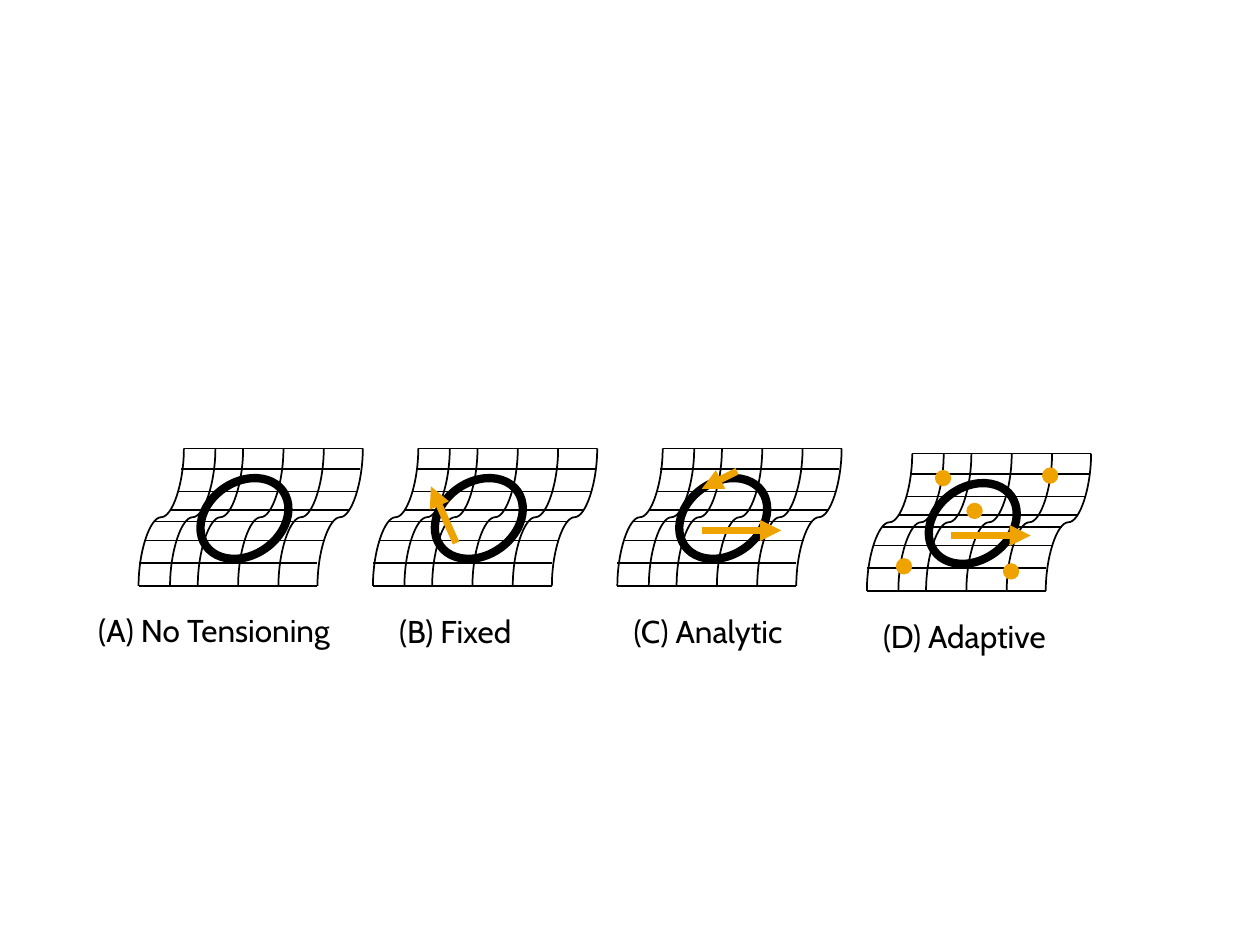
from dataclasses import dataclass
from typing import Any

from lxml.etree import SubElement
from pptx import Presentation
from pptx.dml.color import RGBColor as Rgb
from pptx.enum.shapes import MSO_CONNECTOR as Link, MSO_SHAPE as Kind
from pptx.enum.text import MSO_AUTO_SIZE as Fit
from pptx.oxml.ns import qn
from pptx.util import Inches, Pt

HUE = {"ink": "000000", "gold": "EEA300"}
WIDE, HIGH, LEAN = 1.42, 1.09, 0.36
ROWS = [(0.36, 0), (0, 1.09), (0, 0.91), (0.06, 0.73),
        (0.13, 0.58), (0.25, 0.49), (0.31, 0.34), (0.34, 0.16)]
COLS = [0, 1.42, 1.11, 0.79, 0.47, 0.25]
DOT = 0.13


@dataclass
class Label:
    text: str
    left: float
    top: float
    width: float


@dataclass
class Panel:
    left: float
    top: float
    label: Label
    arrows: tuple[tuple[float, float, float, float], ...] = ()
    dots: tuple[tuple[float, float], ...] = ()


PANELS = [
    Panel(1.1, 3.56, Label("(A) No Tensioning", 0.68, 4.8, 2.05)),
    Panel(2.96, 3.56, Label("(B) Fixed", 3.07, 4.81, 1.12),
          arrows=((3.62, 4.31, 3.42, 3.86),)),
    Panel(4.9, 3.56, Label("(C) Analytic", 4.93, 4.81, 1.4),
          arrows=((5.57, 4.21, 6.2, 4.21), (5.85, 3.74, 5.57, 3.88))),
    Panel(6.88, 3.6, Label("(D) Adaptive", 6.91, 4.85, 1.49),
          arrows=((7.55, 4.25, 8.18, 4.25),),
          dots=((8.27, 3.71), (7.96, 4.47), (7.11, 4.43),
                (7.42, 3.73), (7.67, 3.99))),
]


def color(name: str) -> Rgb:
    return Rgb.from_string(HUE[name])


def add_line(shapes: Any, x1: float, y1: float, x2: float, y2: float,
             hue: str = "ink", size: float = 1, kind: Any = Link.STRAIGHT) -> Any:
    line = shapes.add_connector(kind, Inches(x1), Inches(y1), Inches(x2), Inches(y2))
    line.line.color.rgb = color(hue)
    line.line.width = Pt(size)
    SubElement(line._element.spPr, qn("a:effectLst"))
    return line


def add_curve(shapes: Any, left: float, top: float) -> None:
    mid_x, mid_y = left + LEAN / 2, top + HIGH / 2
    line = add_line(shapes, mid_x + HIGH / 2, mid_y + LEAN / 2,
                    mid_x - HIGH / 2, mid_y - LEAN / 2, kind=Link.CURVE)
    line._element.spPr.find(qn("a:xfrm")).set("rot", "5400000")


def add_arrow(shapes: Any, ends: tuple[float, float, float, float]) -> None:
    line = add_line(shapes, *ends, hue="gold", size=4)
    SubElement(line.line._get_or_add_ln(), qn("a:tailEnd"), type="triangle")


def add_oval(shapes: Any, left: float, top: float, width: float, height: float) -> Any:
    oval = shapes.add_shape(Kind.OVAL, Inches(left), Inches(top),
                            Inches(width), Inches(height))
    oval.shadow.inherit = False
    return oval


def add_ring(shapes: Any, left: float, top: float) -> None:
    ring = add_oval(shapes, left, top, 0.58, 0.75)
    ring.rotation = 54.9
    ring.fill.background()
    ring.line.color.rgb = color("ink")
    ring.line.width = Pt(4.75)


def add_dot(shapes: Any, left: float, top: float) -> None:
    dot = add_oval(shapes, left, top, DOT, DOT)
    dot.fill.solid()
    dot.fill.fore_color.rgb = color("gold")
    dot.line.fill.background()


def add_label(shapes: Any, label: Label) -> None:
    box = shapes.add_textbox(Inches(label.left), Inches(label.top),
                             Inches(label.width), Inches(0.4))
    frame = box.text_frame
    frame.word_wrap = False
    frame.auto_size = Fit.SHAPE_TO_FIT_TEXT
    frame.text = label.text
    font = frame.paragraphs[0].runs[0].font
    font.name = "Cabin"
    font.size = Pt(18)
    font.color.rgb = color("ink")


def add_panel(slide: Any, panel: Panel) -> None:
    shapes = slide.shapes.add_group_shape().shapes
    for col in COLS:
        add_curve(shapes, panel.left + col, panel.top)
    for shift, drop in ROWS:
        left, top = panel.left + shift, panel.top + drop
        add_line(shapes, left, top, left + WIDE, top)
    add_ring(shapes, panel.left + 0.55, panel.top + 0.18)
    for ends in panel.arrows:
        add_arrow(shapes, ends)
    add_label(shapes, panel.label)
    for spot in panel.dots:
        add_dot(shapes, *spot)


def main() -> None:
    deck = Presentation()
    deck.slide_width, deck.slide_height = Inches(10), Inches(7.5)
    slide = deck.slides.add_slide(deck.slide_layouts[6])
    for panel in PANELS:
        add_panel(slide, panel)
    deck.save("out.pptx")


if __name__ == "__main__":
    main()
